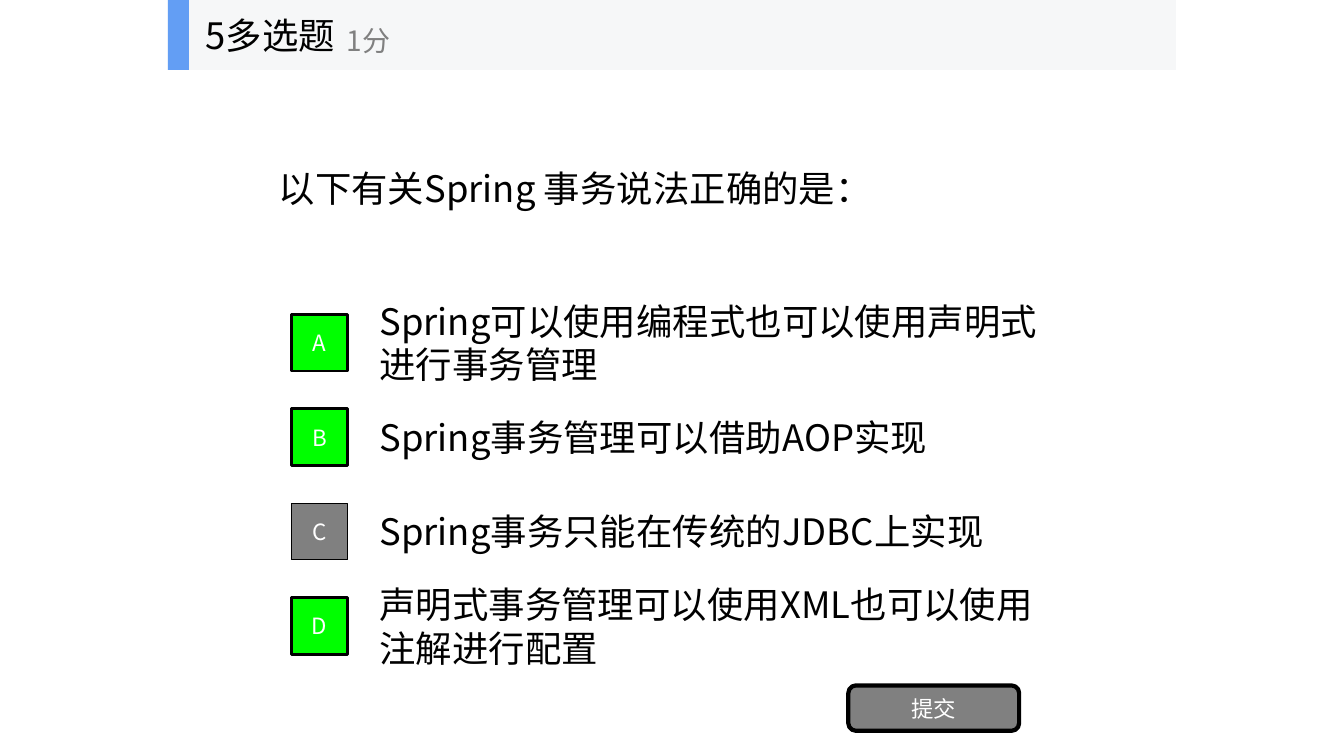
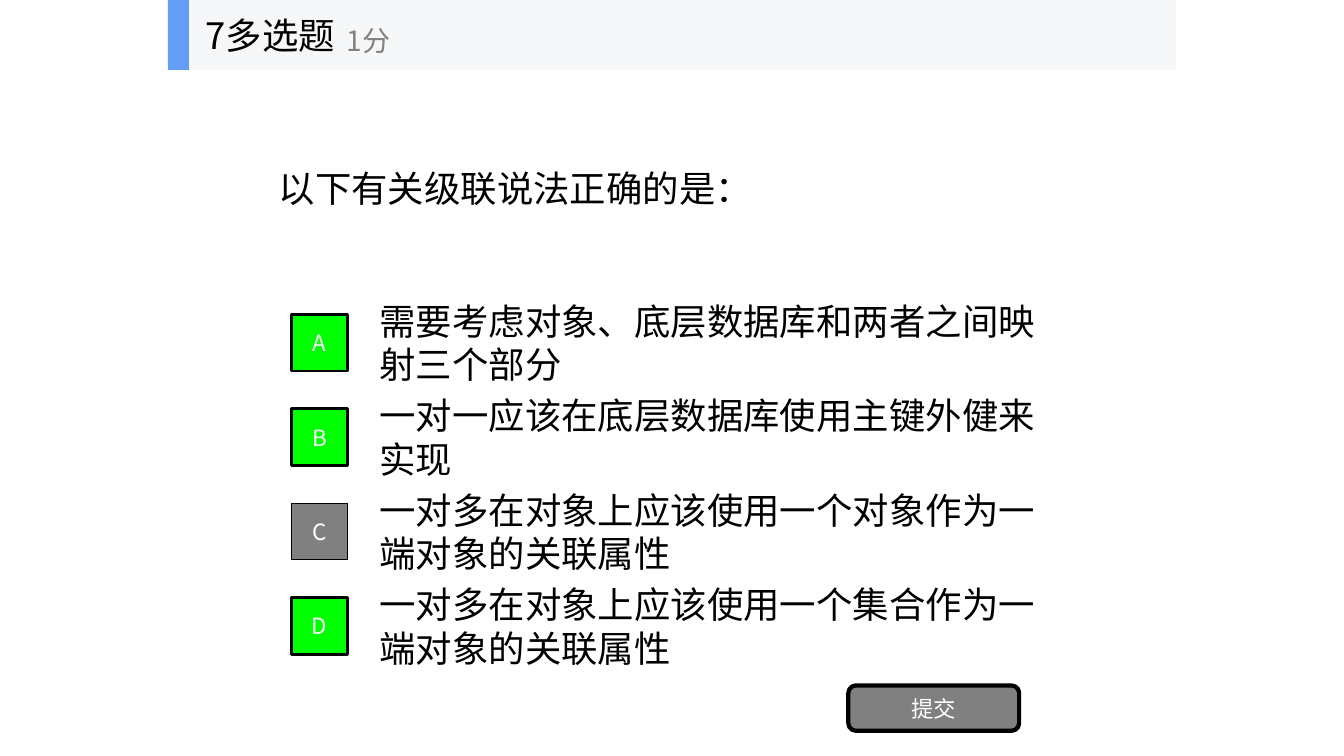
from lxml.etree import SubElement
from pptx import Presentation
from pptx.dml.color import RGBColor
from pptx.enum.shapes import MSO_SHAPE as SHAPE
from pptx.enum.text import MSO_ANCHOR as ANCHOR, MSO_AUTO_SIZE as AUTO_SIZE, PP_ALIGN as ALIGN
from pptx.oxml.ns import qn
from pptx.util import Pt

FONT = "Noto Sans CJK SC"
BLACK, WHITE, GREY, GREEN = "000000", "FFFFFF", "808080", "00FF00"
BAND, ACCENT = "F6F7F8", "639EF4"

# Questions: number, wording, options, letters of the right answers
questions = [
    (5, "以下有关Spring 事务说法正确的是：", [
        "Spring可以使用编程式也可以使用声明式进行事务管理",
        "Spring事务管理可以借助AOP实现",
        "Spring事务只能在传统的JDBC上实现",
        "声明式事务管理可以使用XML也可以使用注解进行配置",
    ], "ABD"),
    (7, "以下有关级联说法正确的是：", [
        "需要考虑对象、底层数据库和两者之间映射三个部分",
        "一对一应该在底层数据库使用主键外健来实现",
        "一对多在对象上应该使用一个对象作为一端对象的关联属性",
        "一对多在对象上应该使用一个集合作为一端对象的关联属性",
    ], "ABD"),
]


def write(box, text, size=26, color=BLACK, align=ALIGN.LEFT, spacing=None):
    frame = box.text_frame
    frame.auto_size = AUTO_SIZE.NONE
    frame.word_wrap = True
    frame.vertical_anchor = ANCHOR.MIDDLE
    para = frame.paragraphs[0]
    para.alignment = align
    if spacing:
        para.line_spacing = Pt(spacing)
    span = para.add_run()
    span.text = text
    span.font.size = Pt(size)
    span.font.color.rgb = RGBColor.from_string(color)
    span.font.name = FONT
    SubElement(span.font._element, qn("a:ea")).set("typeface", FONT)


def add_block(page, kind, left, top, width, height, fill, line=0):
    block = page.shapes.add_shape(kind, Pt(left), Pt(top), Pt(width), Pt(height))
    block.shadow.inherit = False
    block.fill.solid()
    block.fill.fore_color.rgb = RGBColor.from_string(fill)
    if line:
        block.line.color.rgb = RGBColor.from_string(BLACK)
        block.line.width = Pt(line)
    else:
        block.line.fill.background()
    return block


deck = Presentation()
deck.slide_width, deck.slide_height = Pt(960), Pt(540)
layout = deck.slide_layouts[5]

# Title place, shared through the layout
heading = layout.placeholders[0]
heading.left, heading.top, heading.width, heading.height = Pt(139.7), Pt(0), Pt(150), Pt(50)

for number, question, options, answers in questions:
    page = deck.slides.add_slide(layout)

    # Header band, drawn once and moved to the layout
    if len(deck.slides) == 1:
        for index, (width, color) in enumerate([(720, BAND), (15, ACCENT)]):
            band = add_block(page, SHAPE.RECTANGLE, 120, 0, width, 50, color)
            band.element.nvSpPr.cNvPr.id = 20 + index
            layout.shapes.element.insert(2 + index, band.element)

    # Title and score
    write(page.shapes.title, f"{number}多选题")
    score = page.shapes.add_textbox(Pt(240.5), Pt(8.6), Pt(180), Pt(40.4))
    write(score, "1分", size=20, color=GREY)

    # Question
    box = page.shapes.add_textbox(Pt(192), Pt(50), Pt(576), Pt(168))
    write(box, question)

    # Options, the right answers in green
    for index, (letter, option) in enumerate(zip("ABCD", options)):
        top = 219.6 + 67.45 * index
        box = page.shapes.add_textbox(Pt(264), Pt(top), Pt(504), Pt(50.4))
        write(box, option, spacing=31)
        fill, line = (GREEN, 2) if letter in answers else (GREY, 1)
        mark = add_block(page, SHAPE.RECTANGLE, 208, top + 5, 40.4, 40.4, fill, line)
        write(mark, letter, size=16, color=WHITE, align=ALIGN.CENTER)

    # Submit button
    button = add_block(page, SHAPE.ROUNDED_RECTANGLE, 606, 489.6, 122, 32.4, GREY, 3)
    write(button, "提交", size=16, color=WHITE, align=ALIGN.CENTER)

deck.save("out.pptx")
